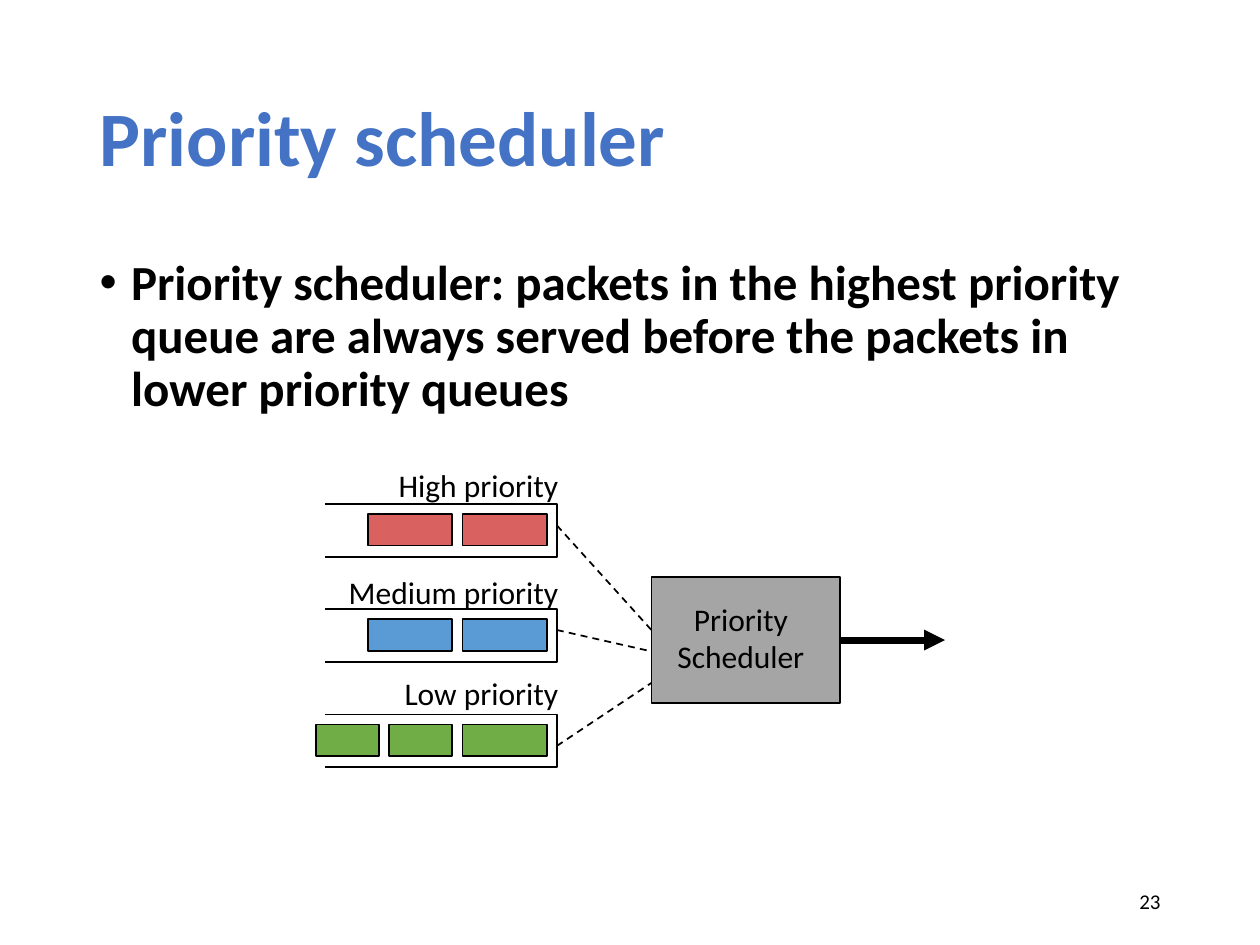
from lxml import etree
from pptx import Presentation
from pptx.dml.color import RGBColor
from pptx.enum.dml import MSO_LINE
from pptx.enum.shapes import MSO_CONNECTOR, MSO_SHAPE
from pptx.enum.text import MSO_ANCHOR, MSO_AUTO_SIZE, PP_ALIGN
from pptx.oxml.ns import qn
from pptx.util import Inches, Pt

STRAIGHT, RECTANGLE = MSO_CONNECTOR.STRAIGHT, MSO_SHAPE.RECTANGLE
LEFT, CENTER, RIGHT = PP_ALIGN.LEFT, PP_ALIGN.CENTER, PP_ALIGN.RIGHT
TOP, MIDDLE = MSO_ANCHOR.TOP, MSO_ANCHOR.MIDDLE
DASH, NO_AUTOFIT = MSO_LINE.DASH, MSO_AUTO_SIZE.NONE

BLACK = RGBColor(0x00, 0x00, 0x00)
TITLE_BLUE = RGBColor(0x44, 0x72, 0xC4)
GRAY = RGBColor(0xA5, 0xA5, 0xA5)
RED = RGBColor(0xD9, 0x61, 0x5F)
BLUE = RGBColor(0x5B, 0x9B, 0xD5)
GREEN = RGBColor(0x70, 0xAD, 0x47)
FONT = "Calibri"

# Content
TITLE = "Priority scheduler"
BULLET = ("Priority scheduler: packets in the highest priority queue are always "
          "served before the packets in lower priority queues")
SCHEDULER = ["Priority", "Scheduler"]
PAGE_NUMBER = "23"
# label, label top, packet colour, packet widths from the exit back, link start and end heights
QUEUES = [
    ("High priority", 3.65, RED, [0.67, 0.67], 4.17, 5.0),
    ("Medium priority", 4.5, BLUE, [0.67, 0.67], 5.0, 5.17),
    ("Low priority", 5.3, GREEN, [0.67, 0.5, 0.5], 5.92, 5.42),
]

# Geometry in inches
QUEUE_LEFT, QUEUE_RIGHT, QUEUE_TOP = 2.58, 4.42, 4.0
QUEUE_HEIGHT, QUEUE_PITCH = 0.42, 0.835
PACKET_HEIGHT, GAP = 0.25, 0.08
BOX_LEFT, BOX_TOP, BOX_WIDTH, BOX_HEIGHT = 5.17, 4.58, 1.5, 1.0


def place(shape, left, top, width, height):
    shape.left, shape.top = Inches(left), Inches(top)
    shape.width, shape.height = Inches(width), Inches(height)


def write(shape, lines, size, align, color=BLACK, bold=False, anchor=TOP):
    frame = shape.text_frame
    frame.word_wrap = True
    frame.auto_size = NO_AUTOFIT
    frame.vertical_anchor = anchor
    frame.text = "\n".join(lines)
    for para in frame.paragraphs:
        para.alignment = align
        para.font.name, para.font.size = FONT, Pt(size)
        para.font.bold, para.font.color.rgb = bold, color
    return frame.paragraphs[0]


def add_text(page, area, lines, size, align, anchor=TOP):
    box = page.shapes.add_textbox(*map(Inches, area))
    write(box, lines, size, align, anchor=anchor)


def outline(shape, width=1):
    shape.line.color.rgb = BLACK
    shape.line.width = Pt(width)


def add_block(page, left, top, width, height, color):
    block = page.shapes.add_shape(RECTANGLE, *map(Inches, (left, top, width, height)))
    block.shadow.inherit = False
    block.fill.solid()
    block.fill.fore_color.rgb = color
    outline(block)


def add_line(page, start, end, width):
    line = page.shapes.add_connector(STRAIGHT, *map(Inches, start + end))
    outline(line, width)
    etree.SubElement(line._element.spPr, qn("a:effectLst"))
    return line


def add_queue(page, index, queue):
    label, label_top, color, widths, link_start, link_end = queue
    top = QUEUE_TOP + index * QUEUE_PITCH
    bottom = top + QUEUE_HEIGHT

    # Three-sided queue, open on the left
    builder = page.shapes.build_freeform(Inches(QUEUE_LEFT), Inches(top))
    corners = [(QUEUE_RIGHT, top), (QUEUE_RIGHT, bottom), (QUEUE_LEFT, bottom)]
    builder.add_line_segments([(Inches(x), Inches(y)) for x, y in corners], close=False)
    rail = builder.convert_to_shape()
    rail.shadow.inherit = False
    rail.fill.background()
    outline(rail)

    # Packets, filled from the exit backwards
    right = QUEUE_RIGHT - GAP
    for width in widths:
        add_block(page, right - width, top + GAP, width, PACKET_HEIGHT, color)
        right -= width + GAP

    add_text(page, (2.33, label_top, 2.2, 0.4), [label], 18, RIGHT)
    link = add_line(page, (QUEUE_RIGHT, link_start), (BOX_LEFT, link_end), 1)
    link.line.dash_style = DASH


def main():
    deck = Presentation()
    deck.slide_width, deck.slide_height = Inches(10), Inches(7.5)
    page = deck.slides.add_slide(deck.slide_layouts[1])

    # Title and bullet
    title, body = page.placeholders
    place(title, 0.69, 0.4, 8.62, 1.45)
    para = write(title, [TITLE], 44, LEFT, TITLE_BLUE, True, MIDDLE)
    para.line_spacing = 0.9
    place(body, 0.69, 2, 8.62, 4.76)
    para = write(body, [BULLET], 28, LEFT, bold=True)
    para.line_spacing, para.space_before = 0.9, Pt(10)
    indent = para._p.get_or_add_pPr()
    indent.set("marL", str(Inches(0.25)))
    indent.set("indent", str(Inches(-0.25)))

    # Queues
    for index, queue in enumerate(QUEUES):
        add_queue(page, index, queue)

    # Scheduler and its output
    add_block(page, BOX_LEFT, BOX_TOP, BOX_WIDTH, BOX_HEIGHT, GRAY)
    add_text(page, (5.22, 4.71, 1.32, 0.7), SCHEDULER, 18, CENTER)
    middle = BOX_TOP + BOX_HEIGHT / 2
    arrow = add_line(page, (BOX_LEFT + BOX_WIDTH, middle), (7.5, middle), 4)
    etree.SubElement(arrow.line._get_or_add_ln(), qn("a:tailEnd"), type="triangle")

    add_text(page, (7.06, 6.95, 2.25, 0.4), [PAGE_NUMBER], 12, RIGHT, MIDDLE)
    deck.save("out.pptx")


if __name__ == "__main__":
    main()
